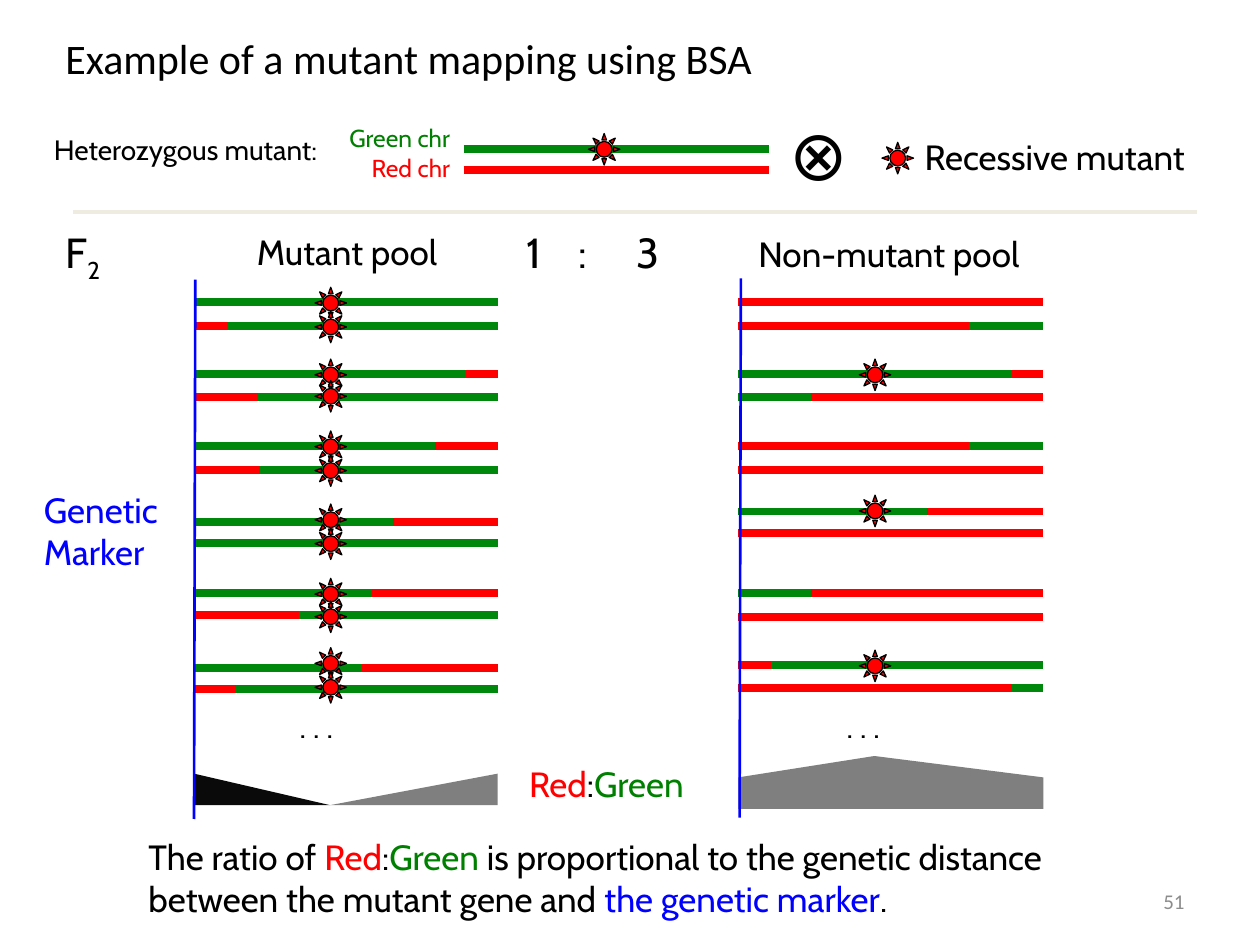
from dataclasses import dataclass
from typing import Optional

from lxml import etree
from pptx import Presentation
from pptx import util as u
from pptx.dml import color
from pptx.enum import shapes, text
from pptx.oxml import ns

PX = u.Inches(1) // 100
SUN = 25
GREEN, RED, GRAY, BLACK, BLUE = "00880C", "FF0000", "7F7F7F", "000000", "0000FF"
GREEN_TEXT = "008000"
LEFT, RIGHT = text.PP_ALIGN.LEFT, text.PP_ALIGN.RIGHT


@dataclass
class Strand:
    y: int
    base: str
    patch: Optional[tuple[int, int]] = None
    gene_top: Optional[int] = None


@dataclass
class Pool:
    left: int
    right: int
    gene_left: int
    strands: list[Strand]


@dataclass
class Label:
    left: int
    top: int
    width: int
    height: int
    size: int
    paragraphs: list[list[tuple[str, str]]]
    wrap: bool = False
    font: str = "Cabin"
    align: text.PP_ALIGN = LEFT
    middle: bool = False


MUTANT = Pool(154, 395, 250, [
    Strand(240, GREEN, None, 228),
    Strand(259, GREEN, (154, 181), 247),
    Strand(297, GREEN, (370, 395), 285),
    Strand(315, GREEN, (154, 205), 302),
    Strand(354, GREEN, (345, 395), 342),
    Strand(373, GREEN, (154, 206), 361),
    Strand(414, GREEN, (312, 395), 400),
    Strand(431, GREEN, None, 419),
    Strand(471, GREEN, (295, 395), 459),
    Strand(488, GREEN, (154, 237), 477),
    Strand(530, GREEN, (287, 395), 514),
    Strand(547, GREEN, (154, 187), 533),
])
NON_MUTANT = Pool(586, 828, 682, [
    Strand(240, RED),
    Strand(259, RED, (769, 828)),
    Strand(297, GREEN, (803, 828), 285),
    Strand(315, RED, (586, 644)),
    Strand(354, RED, (769, 828)),
    Strand(373, RED),
    Strand(406, GREEN, (736, 828), 393),
    Strand(423, RED),
    Strand(471, RED, (586, 644)),
    Strand(490, RED),
    Strand(528, GREEN, (586, 612), 516),
    Strand(546, RED, (803, 828)),
])

LABELS = [
    Label(42, 17, 725, 58, 24, [[("Example of a mutant mapping using BSA", BLACK)]],
          wrap=True, font="Calibri", middle=True),
    Label(33, 100, 233, 37, 16, [[("Heterozygous mutant:", BLACK)]], wrap=True),
    Label(258, 93, 109, 57, 14, [[("Green chr", GREEN_TEXT)], [("Red chr", RED)]], align=RIGHT),
    Label(617, 83, 67, 77, 40, [[("⊗", BLACK)]], wrap=True),
    Label(724, 103, 229, 44, 20, [[("Recessive mutant", BLACK)]]),
    Label(194, 178, 171, 44, 20, [[("Mutant pool", BLACK)]]),
    Label(592, 180, 232, 44, 20, [[("Non-mutant pool", BLACK)]]),
    Label(25, 383, 117, 77, 20, [[("Genetic", BLUE)], [("Marker", BLUE)]]),
    Label(228, 556, 55, 40, 18, [[(". . .", BLACK)]]),
    Label(662, 556, 55, 40, 18, [[(". . .", BLACK)]]),
    Label(410, 600, 149, 44, 20, [[("Red", RED), (":", BLACK), ("Green", GREEN_TEXT)]]),
    Label(108, 658, 767, 77, 20, [[
        ("The ratio of ", BLACK), ("Red", RED), (":", BLACK), ("Green", GREEN_TEXT),
        (" is proportional to the genetic distance between the mutant gene and ", BLACK),
        ("the genetic marker", BLUE), (".", BLACK)]], wrap=True),
    Label(717, 695, 233, 40, 12, [[("51", "8C8C8C")]],
          wrap=True, font="Calibri", align=RIGHT, middle=True),
]
GENERATION = Label(42, 175, 50, 51, 24, [[("F", BLACK), ("2", BLACK)]])
SEGREGATION = Label(408, 175, 153, 51, 24, [[("1\t:\t3", BLACK)]], wrap=True)
SEGREGATION_TABS = (41, 87)


def rgb(value: str) -> color.RGBColor:
    return color.RGBColor.from_string(value)


def draw_line(slide, start: tuple[int, int], end: tuple[int, int], hue: str, points: float) -> None:
    line = slide.shapes.add_connector(
        shapes.MSO_CONNECTOR.STRAIGHT, *(v * PX for v in start + end))
    line.line.color.rgb = rgb(hue)
    line.line.width = u.Pt(points)
    etree.SubElement(line._element.spPr, ns.qn("a:effectLst"))


def draw_strand(slide, y: int, left: int, right: int, hue: str) -> None:
    draw_line(slide, (left, y), (right, y), hue, 4.5)


def paint(shape, hue: str) -> None:
    shape.shadow.inherit = False
    shape.fill.solid()
    shape.fill.fore_color.rgb = rgb(hue)
    shape.line.fill.background()


def draw_gene(slide, left: int, top: int) -> None:
    gene = slide.shapes.add_shape(
        shapes.MSO_SHAPE.SUN, left * PX, top * PX, SUN * PX, SUN * PX)
    paint(gene, RED)
    gene.line.color.rgb = rgb(BLACK)
    gene.line.width = u.Pt(0.75)


def draw_pool(slide, pool: Pool) -> None:
    for strand in pool.strands:
        draw_strand(slide, strand.y, pool.left, pool.right, strand.base)
        if strand.patch:
            draw_strand(slide, strand.y, *strand.patch, RED if strand.base == GREEN else GREEN)
    for strand in pool.strands:
        if strand.gene_top is not None:
            draw_gene(slide, pool.gene_left, strand.gene_top)


def draw_slope(slide, left: int, width: int, hue: str, rising: bool) -> None:
    slope = slide.shapes.add_shape(
        shapes.MSO_SHAPE.RIGHT_TRIANGLE, left * PX, 614 * PX, width * PX, 25 * PX)
    paint(slope, hue)
    if rising:
        slope._element.spPr.find(ns.qn("a:xfrm")).set("flipH", "1")


def draw_peak(slide, outline: list[tuple[int, int]]) -> None:
    builder = slide.shapes.build_freeform(*outline[0], scale=PX)
    builder.add_line_segments(outline[1:], close=True)
    paint(builder.convert_to_shape(), GRAY)


def draw_label(slide, label: Label, tabs: tuple[int, ...] = ()):
    box = slide.shapes.add_textbox(
        *(v * PX for v in (label.left, label.top, label.width, label.height)))
    frame = box.text_frame
    frame.word_wrap = label.wrap
    if label.middle:
        frame.vertical_anchor = text.MSO_ANCHOR.MIDDLE
    frame.text = "\n".join("" for _ in label.paragraphs)
    for paragraph, pieces in zip(frame.paragraphs, label.paragraphs):
        paragraph.alignment = label.align
        if tabs:
            stops = etree.SubElement(paragraph._p.get_or_add_pPr(), ns.qn("a:tabLst"))
            for stop in tabs:
                etree.SubElement(stops, ns.qn("a:tab"), pos=str(stop * PX), algn="l")
        for words, hue in pieces:
            run = paragraph.add_run()
            run.text = words
            run.font.name = label.font
            run.font.size = u.Pt(label.size)
            run.font.color.rgb = rgb(hue)
    return frame


def main() -> None:
    deck = Presentation()
    deck.slide_width, deck.slide_height = 1000 * PX, 750 * PX
    slide = deck.slides.add_slide(deck.slide_layouts[6])

    draw_strand(slide, 118, 368, 610, GREEN)
    draw_strand(slide, 135, 368, 610, RED)
    draw_gene(slide, 467, 106)
    draw_gene(slide, 700, 113)
    draw_line(slide, (58, 168), (950, 168), "EEECE1", 2.25)

    for pool in (MUTANT, NON_MUTANT):
        draw_pool(slide, pool)

    draw_slope(slide, 154, 108, "0A0A0A", rising=False)
    draw_slope(slide, 262, 133, GRAY, rising=True)
    draw_peak(slide, [(586, 617), (694, 600), (828, 617), (828, 642), (586, 642)])
    draw_line(slide, (155, 222), (154, 650), BLUE, 1.5)
    draw_line(slide, (588, 221), (587, 649), BLUE, 1.5)

    for label in LABELS:
        draw_label(slide, label)
    draw_label(slide, SEGREGATION, SEGREGATION_TABS)
    subscript = draw_label(slide, GENERATION).paragraphs[0].runs[1]
    subscript._r.get_or_add_rPr().set("baseline", "-25000")

    deck.save("out.pptx")


if __name__ == "__main__":
    main()
